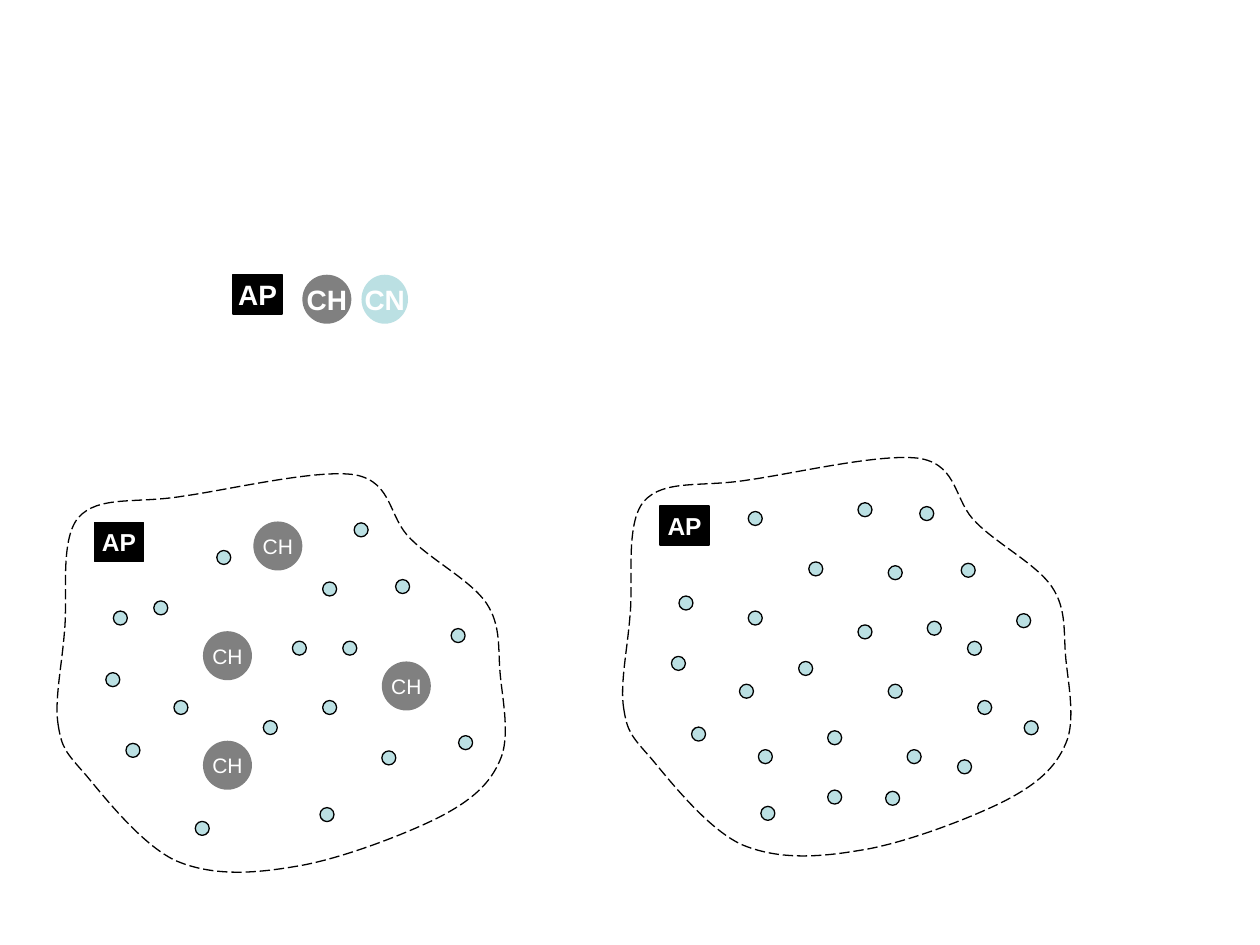
from pptx import Presentation
from pptx.dml.color import RGBColor
from pptx.enum.dml import MSO_LINE
from pptx.enum.shapes import MSO_SHAPE as Shape
from pptx.enum.text import MSO_ANCHOR as Anchor, PP_ALIGN as Align
from pptx.oxml.ns import qn
from pptx.util import Pt
from lxml.etree import SubElement

COLORS = {"node": "BBE0E3", "head": "808080", "black": "000000", "white": "FFFFFF"}
DOT, CIRCLE, AP_HEIGHT = 8, 28, 22.4

COVERAGE = [
    (2.2, 146.2),
    (4.3, 159.8), (6.5, 162), (18, 175),
    (28.8, 187.9), (49.7, 214.6), (69.1, 223.9),
    (89.3, 232.6), (111.6, 231.8), (136.8, 227.5),
    (161.3, 223.9), (199.4, 209.5), (219.6, 199.4),
    (239, 189.4), (249.1, 180), (254.9, 166.3),
    (260.6, 153.4), (256.3, 132.5), (254.9, 118.1),
    (253.4, 103), (255.6, 90), (247, 77),
    (238.3, 64.1), (216, 52.6), (203.8, 40.3),
    (190.8, 28.1), (193.7, 7.9), (172.1, 3.6),
    (150.5, 0), (99.4, 12.2), (73.4, 15.8),
    (46.8, 20.2), (25.2, 15.1), (13.7, 28.1),
    (2.9, 41), (7.9, 74.2), (5.8, 93.6),
    (4.3, 113), (0, 132.5), (2.2, 146.2),
]
CLUSTER_NODES = [
    (68.4, 132.5), (119.5, 144), (33.8, 81.4), (41, 157), (80.6, 201.6), (151.9, 193.7),
    (187.2, 161.3), (164.9, 98.6), (29.5, 116.6), (92.9, 46.8), (153.4, 132.5),
    (195.1, 63.4), (153.4, 64.8), (171.4, 31), (56.9, 75.6), (226.8, 91.4),
    (231.1, 152.6), (136.1, 98.6),
]
CLUSTER_HEADS = [(85, 155.5), (187.2, 110.2), (85, 92.9), (113.8, 30.2)]
FLAT_NODES = [
    (68.4, 132.5), (118.8, 159.1), (33.8, 82.1), (41, 157), (80.6, 202.3), (151.9, 193.7),
    (193, 175.7), (175.7, 96.5), (29.5, 116.6), (73.4, 33.8), (153.4, 132.5),
    (195.1, 63.4), (153.4, 64.8), (171.4, 31), (226.8, 92.2), (231.1, 153.4),
    (136.1, 98.6), (73.4, 90.7), (102.2, 119.5), (108, 62.6), (136.1, 28.8),
    (118.8, 193), (79.2, 169.9), (204.5, 141.8), (198.7, 108), (164.2, 169.9),
]


def rgb(name):
    """Return the named colour."""
    return RGBColor.from_string(COLORS[name])


def add_mark(slide, kind, box, fill, outlined=False):
    """Add a filled preset shape, with a thin black line if outlined."""
    mark = slide.shapes.add_shape(kind, *map(Pt, box))
    mark.shadow.inherit = False
    mark.fill.solid()
    mark.fill.fore_color.rgb = rgb(fill)
    if outlined:
        mark.line.color.rgb = rgb("black")
        mark.line.width = Pt(0.75)
    else:
        mark.line.fill.background()
    return mark


def add_label(mark, text, size, bold):
    """Write a centred white label on a mark."""
    frame = mark.text_frame
    frame.word_wrap = False
    frame.vertical_anchor = Anchor.MIDDLE
    paragraph = frame.paragraphs[0]
    paragraph.alignment = Align.CENTER
    label = paragraph.add_run()
    label.text = text
    label.font.name = "Arial"
    label.font.size = Pt(size)
    label.font.bold = bold
    label.font.color.rgb = rgb("white")


def add_access_point(slide, left, top, size):
    """Add the black access point."""
    box = (left, top, CIRCLE, AP_HEIGHT)
    add_label(add_mark(slide, Shape.RECTANGLE, box, "black", True), "AP", size, True)


def add_circle(slide, box, fill, text, size, bold):
    """Add a labelled circle without a line."""
    add_label(add_mark(slide, Shape.OVAL, box, fill), text, size, bold)


def add_coverage(slide, left, top):
    """Add the dashed coverage outline, turning each three points into a curve."""
    start, *controls = [(Pt(left + x), Pt(top + y)) for x, y in COVERAGE]
    builder = slide.shapes.build_freeform(*start)
    builder.add_line_segments(controls, close=True)
    outline = builder.convert_to_shape()
    outline.shadow.inherit = False
    outline.fill.background()
    outline.line.color.rgb = rgb("black")
    outline.line.width = Pt(0.75)
    outline.line.dash_style = MSO_LINE.LONG_DASH
    steps = list(outline.element.iter(qn("a:lnTo")))
    route = steps[0].getparent()
    for first in range(0, len(steps), 3):
        curve = SubElement(route, qn("a:cubicBezTo"))
        for step in steps[first:first + 3]:
            curve.append(step[0])
            route.remove(step)
    route.append(route.find(qn("a:close")))


def add_network(slide, left, top, nodes, heads=()):
    """Draw a network whose coverage starts at the given corner."""
    for x, y in nodes:
        add_mark(slide, Shape.OVAL, (left + x, top + y, DOT, DOT), "node", True)
    add_coverage(slide, left, top)
    add_access_point(slide, left + 23, top + 30.6, 14)
    for x, y in heads:
        add_circle(slide, (left + x, top + y, CIRCLE, CIRCLE), "head", "CH", 12, False)


def add_legend(slide, left, top):
    """Draw the row of three device types."""
    add_access_point(slide, left, top, 16)
    add_circle(slide, (left + 39.6, top, CIRCLE, CIRCLE), "head", "CH", 16, True)
    add_circle(slide, (left + 73.4, top, 26.6, CIRCLE), "node", "CN", 16, True)


def main():
    """Build and save the slide."""
    deck = Presentation()
    deck.slide_width, deck.slide_height = Pt(720), Pt(540)
    slide = deck.slides.add_slide(deck.slide_layouts[6])
    add_network(slide, 31, 267.8, CLUSTER_NODES, CLUSTER_HEADS)
    add_network(slide, 354.2, 258.5, FLAT_NODES)
    add_legend(slide, 133.2, 157)
    deck.save("out.pptx")


if __name__ == "__main__":
    main()
